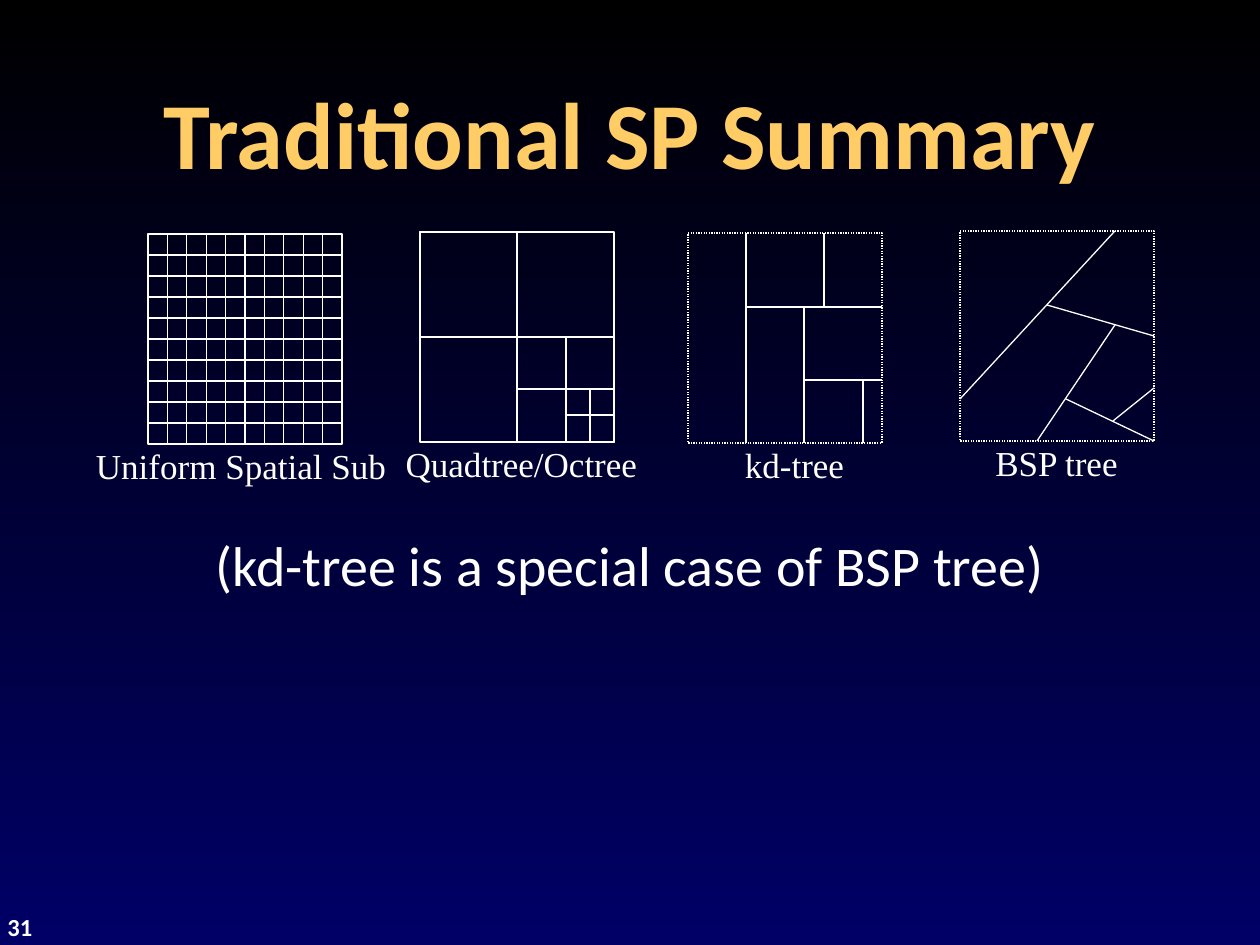
from lxml import etree
from pptx import Presentation, util as u
from pptx.dml.color import RGBColor
from pptx.enum import dml, shapes, text
from pptx.oxml.ns import qn

PX = 914400 / 126
W, H = 194, 210  # every diagram has this size


def px(*lengths):
    """Turn pixel lengths into EMU."""
    return [u.Emu(round(n * PX)) for n in lengths]


def write(sp, words, align=text.PP_ALIGN.CENTER, color="FFFFFF", **font):
    """Fill a shape with one formatted paragraph."""
    tf = sp.text_frame
    tf.word_wrap = True
    p = tf.paragraphs[0]
    p.alignment = align
    r = p.add_run()
    r.text = words
    for name, value in font.items():
        setattr(r.font, name, value)
    r.font.color.rgb = RGBColor.from_string(color)


prs = Presentation()
prs.slide_width, prs.slide_height = px(1260, 945)
s = prs.slides.add_slide(prs.slide_layouts[5])

fill = s.background.fill
fill.gradient()
fill.gradient_angle = 270
for stop, color in zip(fill.gradient_stops, ("000000", "000066")):
    stop.color.rgb = RGBColor.from_string(color)

title = s.shapes.title
title.left, title.top, title.width, title.height = px(63, 53, 1134, 157)
title.text_frame.vertical_anchor = text.MSO_ANCHOR.MIDDLE
write(title, "Traditional SP Summary", color="FFCC66",
      name="Calibri", size=u.Pt(54), bold=True)

write(s.shapes.add_textbox(*px(21, 524, 1218, 208)),
      "(kd-tree is a special case of BSP tree)", name="Calibri", size=u.Pt(32))
write(s.shapes.add_textbox(*px(-5, 906, 83, 42)), "31", text.PP_ALIGN.LEFT,
      name="Calibri", size=u.Pt(14), bold=True)

# Boxes are (x, y, width, height) and lines (x1, y1, x2, y2), from the diagram's corner.
grid_lines = [(W * i / 10, 0, W * i / 10, H) for i in range(1, 10)]
grid_lines += [(0, H * i / 10, W, H * i / 10) for i in range(1, 10)]
quad_boxes = [(0, 0, 97, 105), (97, 105, 97, 105), (97, 105, 49, 52), (146, 157, 48, 53)]
quad_lines = [(170, 157, 170, H), (146, 183, W, 183)]
kd_lines = [(58, 0, 58, H), (58, 74, W, 74), (136, 74, 136, 0),
            (116, 74, 116, H), (116, 147, W, 147), (175, 147, 175, H)]
bsp_lines = [(0, 168, 155, 0), (87, 74, W, 105), (155, 94, 77, H),
             (W, H, 106, 168), (153, 190, W, 157)]

# label, left, top, label left, label width, dotted frame, inner boxes, lines
diagrams = [
    ("Uniform Spatial Sub", 148, 234, 81, 320, False, [], grid_lines),
    ("Quadtree/Octree", 420, 232, 393, 257, False, quad_boxes, quad_lines),
    ("kd-tree", 688, 233, 678, 233, True, [], kd_lines),
    ("BSP tree", 960, 231, 940, 233, True, [], bsp_lines),
]

for label, left, top, label_left, label_width, dotted, boxes, lines in diagrams:
    group = s.shapes.add_group_shape().shapes
    strokes = []
    for x, y, w, h in [(0, 0, W, H)] + boxes:
        sp = group.add_shape(shapes.MSO_SHAPE.RECTANGLE, *px(left + x, top + y, w, h))
        sp.shadow.inherit = False
        sp.fill.background()
        strokes.append(sp)
    if dotted:
        strokes[0].line.dash_style = dml.MSO_LINE.ROUND_DOT
    for x1, y1, x2, y2 in lines:
        line = group.add_connector(shapes.MSO_CONNECTOR.STRAIGHT,
                                   *px(left + x1, top + y1, left + x2, top + y2))
        etree.SubElement(line._element.spPr, qn("a:effectLst"))
        strokes.append(line)
    for stroke in strokes:
        stroke.line.color.rgb = RGBColor.from_string("FFFFFF")
        stroke.line.width = u.Pt(0.75)
    # add_connector writes effectLst before the line is set; python-pptx keeps a:ln first
    write(group.add_textbox(*px(label_left, top + 204, label_width, 54)), label,
          name="Times New Roman", size=u.Pt(20))

prs.save("out.pptx")
